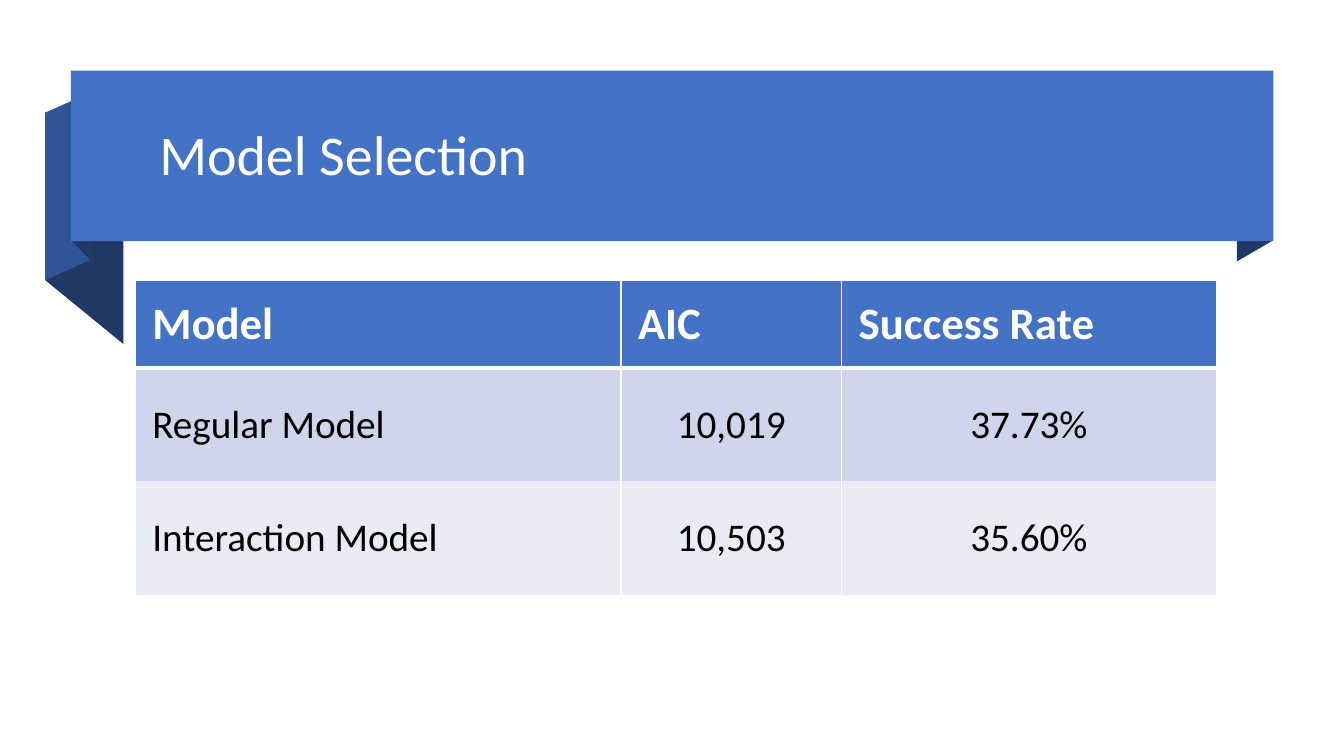
from dataclasses import dataclass

from lxml.etree import SubElement
from pptx import Presentation
from pptx.dml.color import RGBColor
from pptx.enum.shapes import MSO_SHAPE
from pptx.enum.text import MSO_ANCHOR, MSO_AUTO_SIZE, PP_ALIGN
from pptx.oxml.ns import qn
from pptx.util import Cm, Pt


@dataclass(frozen=True)
class Theme:
    font: str = "Calibri"
    banner: str = "4472C4"
    side: str = "2F5597"
    shade: str = "203864"
    light: str = "FFFFFF"
    dark: str = "000000"
    bands: tuple = ("CFD5EA", "E9EBF5")
    title_size: int = 40
    header_size: int = 32
    body_size: int = 28


def assign(target, values):
    for name, value in values.items():
        setattr(target, name, value)


class RibbonSlide:
    """Draw the parts of a ribbon-titled slide in one theme."""

    def __init__(self, deck, theme):
        self.theme = theme
        self.slide = deck.slides.add_slide(deck.slide_layouts[5])
        self.shapes = self.slide.shapes

    def paint(self, shape, color):
        shape.shadow.inherit = False
        shape.fill.solid()
        shape.fill.fore_color.rgb = RGBColor.from_string(color)
        shape.line.fill.background()

    def style_text(self, paragraph, size, color, bold=False):
        assign(paragraph.font, {"name": self.theme.font, "size": Pt(size), "bold": bold})
        paragraph.font.color.rgb = RGBColor.from_string(color)

    def fold(self, left, left_top, right, right_top, height, color):
        corners = [
            (left, left_top),
            (right, right_top),
            (right, right_top + height),
            (left, left_top + height),
        ]
        start, *others = [(Cm(x), Cm(y)) for x, y in corners]
        outline = self.shapes.build_freeform(*start)
        outline.add_line_segments(others, close=True)
        self.paint(outline.convert_to_shape(), color)

    def banner(self, left, top, width, height):
        box = map(Cm, (left, top, width, height))
        self.paint(self.shapes.add_shape(MSO_SHAPE.RECTANGLE, *box), self.theme.banner)

    def title(self, text, left, top, width, height):
        heading = self.shapes.title
        assign(heading, {
            "left": Cm(left), "top": Cm(top), "width": Cm(width), "height": Cm(height),
        })
        assign(heading.text_frame, {
            "text": text,
            "word_wrap": True,
            "auto_size": MSO_AUTO_SIZE.NONE,
            "vertical_anchor": MSO_ANCHOR.MIDDLE,
        })
        paragraph = heading.text_frame.paragraphs[0]
        assign(paragraph, {
            "alignment": PP_ALIGN.LEFT, "line_spacing": 0.9, "space_after": Pt(6),
        })
        self.style_text(paragraph, self.theme.title_size, self.theme.light)
        heading.element.getparent().append(heading.element)

    def borders(self, cell, widths):
        properties = cell._tc.get_or_add_tcPr()
        for side, width in widths.items():
            line = SubElement(properties, qn(f"a:ln{side}"), w=str(Pt(width)))
            if width:
                fill = SubElement(line, qn("a:solidFill"))
                SubElement(fill, qn("a:srgbClr"), val=self.theme.light)
            else:
                SubElement(line, qn("a:noFill"))

    def cell(self, cell, text, row, column):
        theme = self.theme
        header = row == 0
        self.borders(cell, {
            "L": 1, "R": 1, "T": (1, 3, 0)[row], "B": 3 if header else 0,
        })
        cell.fill.solid()
        color = theme.banner if header else theme.bands[(row - 1) % 2]
        cell.fill.fore_color.rgb = RGBColor.from_string(color)
        assign(cell, {
            "text": text,
            "vertical_anchor": MSO_ANCHOR.MIDDLE,
            "margin_left": Cm(0.43),
            "margin_right": Cm(0.43),
            "margin_top": Cm(0.21),
            "margin_bottom": Cm(0.21),
        })
        paragraph = cell.text_frame.paragraphs[0]
        centered = not header and column > 0
        paragraph.alignment = PP_ALIGN.CENTER if centered else PP_ALIGN.LEFT
        if header:
            self.style_text(paragraph, theme.header_size, theme.light, bold=True)
        else:
            self.style_text(paragraph, theme.body_size, theme.dark)

    def table(self, records, left, top, widths, heights):
        box = map(Cm, (left, top, sum(widths), sum(heights)))
        table = self.shapes.add_table(len(heights), len(widths), *box).table
        for column, width in zip(table.columns, widths):
            column.width = Cm(width)
        for row, height in zip(table.rows, heights):
            row.height = Cm(height)
        for row, record in enumerate(records):
            for column, text in enumerate(record):
                self.cell(table.cell(row, column), text, row, column)


def main():
    deck = Presentation()
    assign(deck, {"slide_width": Cm(33.87), "slide_height": Cm(19.05)})
    theme = Theme()
    selection = RibbonSlide(deck, theme)

    selection.fold(31.17, 2.31, 32.08, 1.78, 4.28, theme.shade)
    selection.fold(1.14, 2.84, 3.11, 4.45, 4.22, theme.shade)
    selection.fold(1.14, 2.84, 2.26, 2.34, 4.22, theme.side)
    selection.fold(1.8, 1.78, 2.26, 2.26, 4.28, theme.shade)
    selection.banner(1.79, 1.78, 30.3, 4.3)
    selection.title("Model Selection", 3.76, 2.12, 27.8, 3.68)

    models = [
        ("Model", "AIC", "Success Rate"),
        ("Regular Model", "10,019", "37.73%"),
        ("Interaction Model", "10,503", "35.60%"),
    ]
    selection.table(models, 3.41, 7.07, (12.24, 5.56, 9.44), (2.2, 2.86, 2.86))
    deck.save("out.pptx")


if __name__ == "__main__":
    main()
